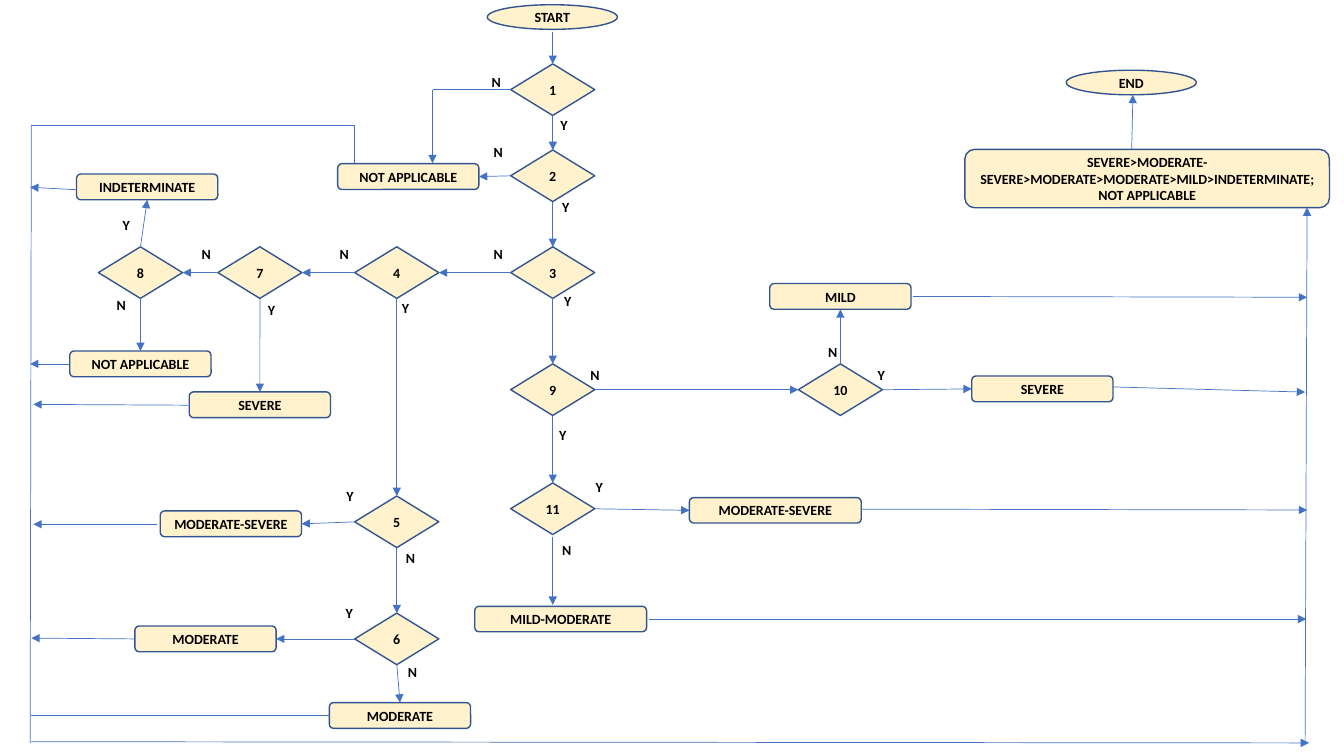
from dataclasses import dataclass

from lxml import etree
from pptx import Presentation
from pptx.dml.color import RGBColor
from pptx.enum.shapes import MSO_CONNECTOR, MSO_SHAPE
from pptx.enum.text import MSO_ANCHOR, PP_ALIGN
from pptx.oxml.ns import qn
from pptx.util import Cm, Pt

STRAIGHT = MSO_CONNECTOR.STRAIGHT
ELLIPSE = MSO_SHAPE.OVAL
DIAMOND = MSO_SHAPE.FLOWCHART_DECISION
BOX = MSO_SHAPE.ROUNDED_RECTANGLE
MIDDLE = MSO_ANCHOR.MIDDLE
CENTER = PP_ALIGN.CENTER
TOP, LEFT, BOTTOM, RIGHT = range(4)


@dataclass(frozen=True)
class Theme:
    fill: RGBColor = RGBColor(0xFF, 0xF2, 0xCC)
    outline: RGBColor = RGBColor(0x32, 0x54, 0x91)
    arrow: RGBColor = RGBColor(0x44, 0x72, 0xC4)
    text: RGBColor = RGBColor(0, 0, 0)
    font: str = "Calibri"
    size: Pt = Pt(10)
    outline_width: Pt = Pt(1)
    arrow_width: Pt = Pt(0.5)


THEME = Theme()


def write_text(shape, text):
    shape.text_frame.word_wrap = True
    shape.text_frame.text = text
    paragraph = shape.text_frame.paragraphs[0]
    font = paragraph.runs[0].font
    font.name, font.size, font.bold = THEME.font, THEME.size, True
    font.color.rgb = THEME.text
    return paragraph


def draw_line(start_x, start_y, end_x, end_y, arrow=True):
    line = slide.shapes.add_connector(
        STRAIGHT, Cm(start_x), Cm(start_y), Cm(end_x), Cm(end_y))
    line.line.color.rgb = THEME.arrow
    line.line.width = THEME.arrow_width
    if arrow:
        outline = line.line._get_or_add_ln()
        etree.SubElement(outline, qn("a:tailEnd"), type="triangle")
    etree.SubElement(line._element.spPr, qn("a:effectLst"))
    return line


presentation = Presentation()
presentation.slide_width = Cm(33.87)
presentation.slide_height = Cm(19.05)
slide = presentation.slides.add_slide(presentation.slide_layouts[6])

SPINE, BRANCH, COLUMN_7, COLUMN_8, COLUMN_10 = 13.93, 10, 6.55, 3.54, 21.18
ROW_3, ROW_9 = 6.87, 9.82

decisions = {
    "1": (SPINE, 2.26), "2": (SPINE, 4.43), "3": (SPINE, ROW_3),
    "4": (BRANCH, ROW_3), "5": (BRANCH, 13.15), "6": (BRANCH, 16.1),
    "7": (COLUMN_7, ROW_3), "8": (COLUMN_8, ROW_3), "9": (SPINE, ROW_9),
    "10": (COLUMN_10, ROW_9), "11": (SPINE, 12.82),
}
nodes = [(number, number, DIAMOND, x, y, 2.12, 1.3)
         for number, (x, y) in decisions.items()]
nodes += [(key, text, BOX, x, y, 3.56, 0.65) for key, text, x, y in (
    ("result 2", "NOT APPLICABLE", 10.29, 4.45),
    ("result 5", "MODERATE-SEVERE", 5.82, 13.2),
    ("result 6 yes", "MODERATE", 5.18, 16.1),
    ("result 6 no", "MODERATE", 10.08, 18.03),
    ("result 7", "SEVERE", COLUMN_7, 10.2),
    ("result 8 yes", "INDETERMINATE", 3.71, 4.71),
    ("result 8 no", "NOT APPLICABLE", COLUMN_8, 9.17),
    ("result 10 yes", "SEVERE", 26.27, 9.8),
    ("result 10 no", "MILD", COLUMN_10, 7.47),
)]
nodes += [
    ("result 11 yes", "MODERATE-SEVERE", BOX, 19.54, 12.86, 4.33, 0.64),
    ("result 11 no", "MILD-MODERATE", BOX, 14.13, 15.6, 4.33, 0.64),
    ("ranking", "SEVERE>MODERATE-SEVERE>MODERATE>MODERATE>MILD>"
     "INDETERMINATE;NOT APPLICABLE", BOX, 28.91, 4.5, 9.19, 1.47),
    ("start", "START", ELLIPSE, 13.92, 0.43, 3.28, 0.62),
    ("end", "END", ELLIPSE, 28.51, 2.08, 3.28, 0.62),
]

shapes = {}
for key, text, kind, x, y, width, height in nodes:
    shape = slide.shapes.add_shape(
        kind, Cm(x - width / 2), Cm(y - height / 2), Cm(width), Cm(height))
    shape.shadow.inherit = False
    shape.fill.solid()
    shape.fill.fore_color.rgb = THEME.fill
    shape.line.color.rgb = THEME.outline
    shape.line.width = THEME.outline_width
    shape.text_frame.vertical_anchor = MIDDLE
    write_text(shape, text).alignment = CENTER
    shapes[key] = shape

flows = [
    ("1", BOTTOM, "2", TOP), ("2", BOTTOM, "3", TOP),
    ("3", BOTTOM, "9", TOP), ("9", BOTTOM, "11", TOP),
    ("2", LEFT, "result 2", RIGHT), ("3", LEFT, "4", RIGHT),
    ("4", LEFT, "7", RIGHT), ("7", LEFT, "8", RIGHT),
    ("4", BOTTOM, "5", TOP), ("5", BOTTOM, "6", TOP),
    ("5", LEFT, "result 5", RIGHT), ("6", LEFT, "result 6 yes", RIGHT),
    ("6", BOTTOM, "result 6 no", TOP), ("7", BOTTOM, "result 7", TOP),
    ("8", TOP, "result 8 yes", BOTTOM), ("8", BOTTOM, "result 8 no", TOP),
    ("9", RIGHT, "10", LEFT), ("10", TOP, "result 10 no", BOTTOM),
    ("10", RIGHT, "result 10 yes", LEFT), ("11", RIGHT, "result 11 yes", LEFT),
]
for source, source_side, target, target_side in flows:
    flow = draw_line(0, 0, 1, 1)
    flow.begin_connect(shapes[source], source_side)
    flow.end_connect(shapes[target], target_side)

plain_lines = [
    (0.79, 3.15, 0.76, 18.72), (8.31, 18.03, 0.79, 18.03),
    (0.79, 3.15, 8.94, 3.15), (8.94, 3.15, 8.94, 4.11),
    (12.88, 2.26, 10.9, 2.26),
]
for ends in plain_lines:
    draw_line(*ends, arrow=False)

arrows = [
    (SPINE, 0.81, SPINE, 1.61), (SPINE, 13.54, SPINE, 15.24),
    (10.9, 2.26, 10.9, 4.11), (28.52, 3.76, 28.55, 2.39),
    (0.79, 18.69, 32.99, 18.72), (32.89, 18.72, 32.94, 5.23),
    (16.36, 15.6, 32.92, 15.6), (21.69, 12.83, 32.94, 12.85),
    (28.04, 9.75, 32.89, 9.88), (23.01, 7.47, 32.94, 7.49),
    (3.4, 16.1, 0.79, 16.08), (3.96, 13.21, 0.84, 13.21),
    (4.75, 10.21, 0.84, 10.19), (1.73, 9.17, 0.76, 9.17),
    (1.93, 4.78, 0.76, 4.72),
]
for ends in arrows:
    draw_line(*ends)

answers = {
    "Y": [(13.87, 2.82), (13.92, 4.88), (13.97, 7.24), (13.84, 10.62),
          (14.76, 11.94), (21.87, 9.12), (9.88, 7.42), (8.48, 12.17),
          (8.46, 15.11), (6.5, 7.47), (2.84, 5.33)],
    "N": [(12.14, 1.73), (12.19, 3.48), (12.19, 6.07), (8.31, 6.05),
          (4.83, 6.05), (2.69, 7.34), (9.98, 13.72), (10.03, 16.59),
          (14.63, 9.12), (20.62, 8.53), (13.92, 13.51)],
}
for answer, places in answers.items():
    for left, top in places:
        label = slide.shapes.add_textbox(Cm(left), Cm(top), Cm(0.91), Cm(0.69))
        write_text(label, answer)

presentation.save("out.pptx")
